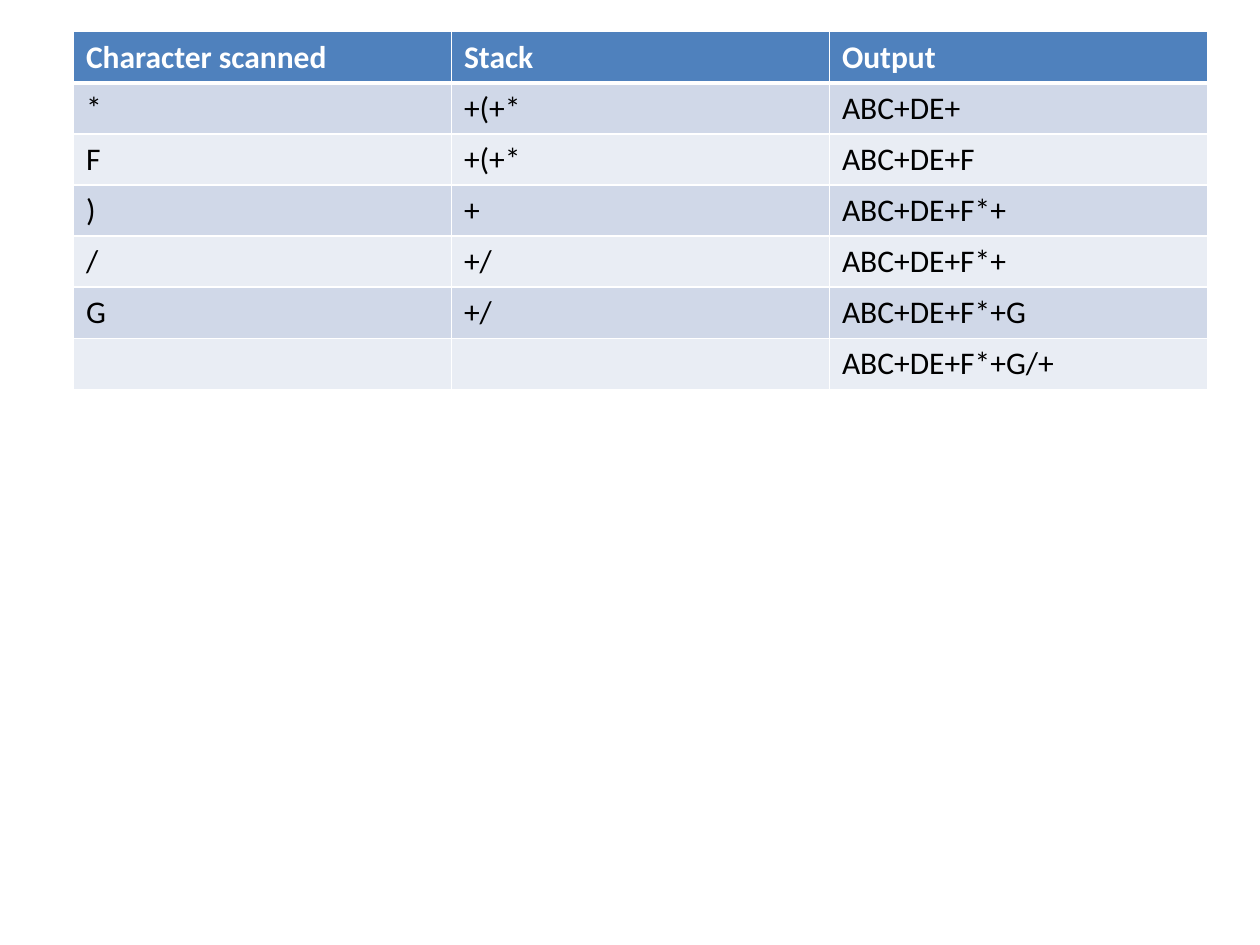
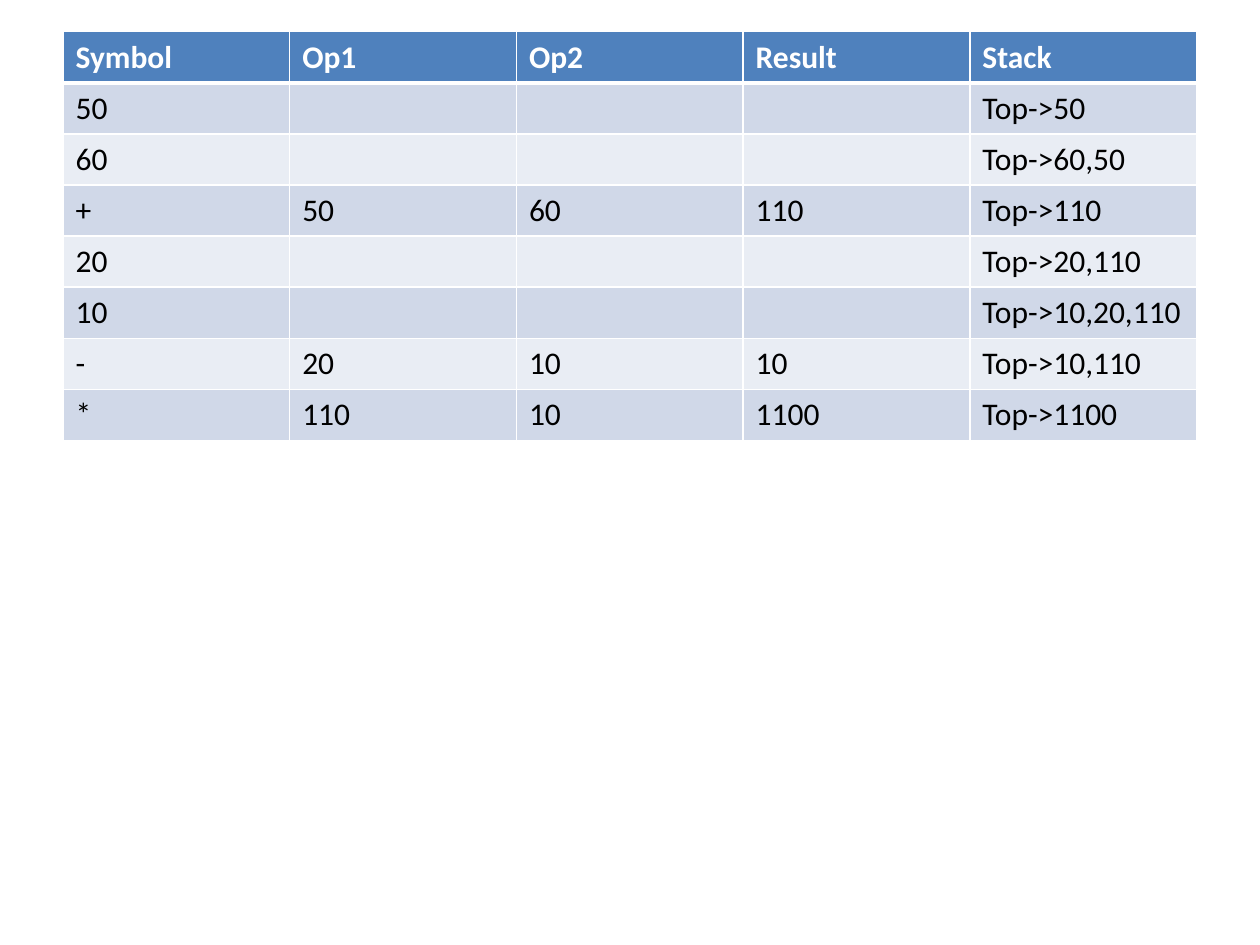
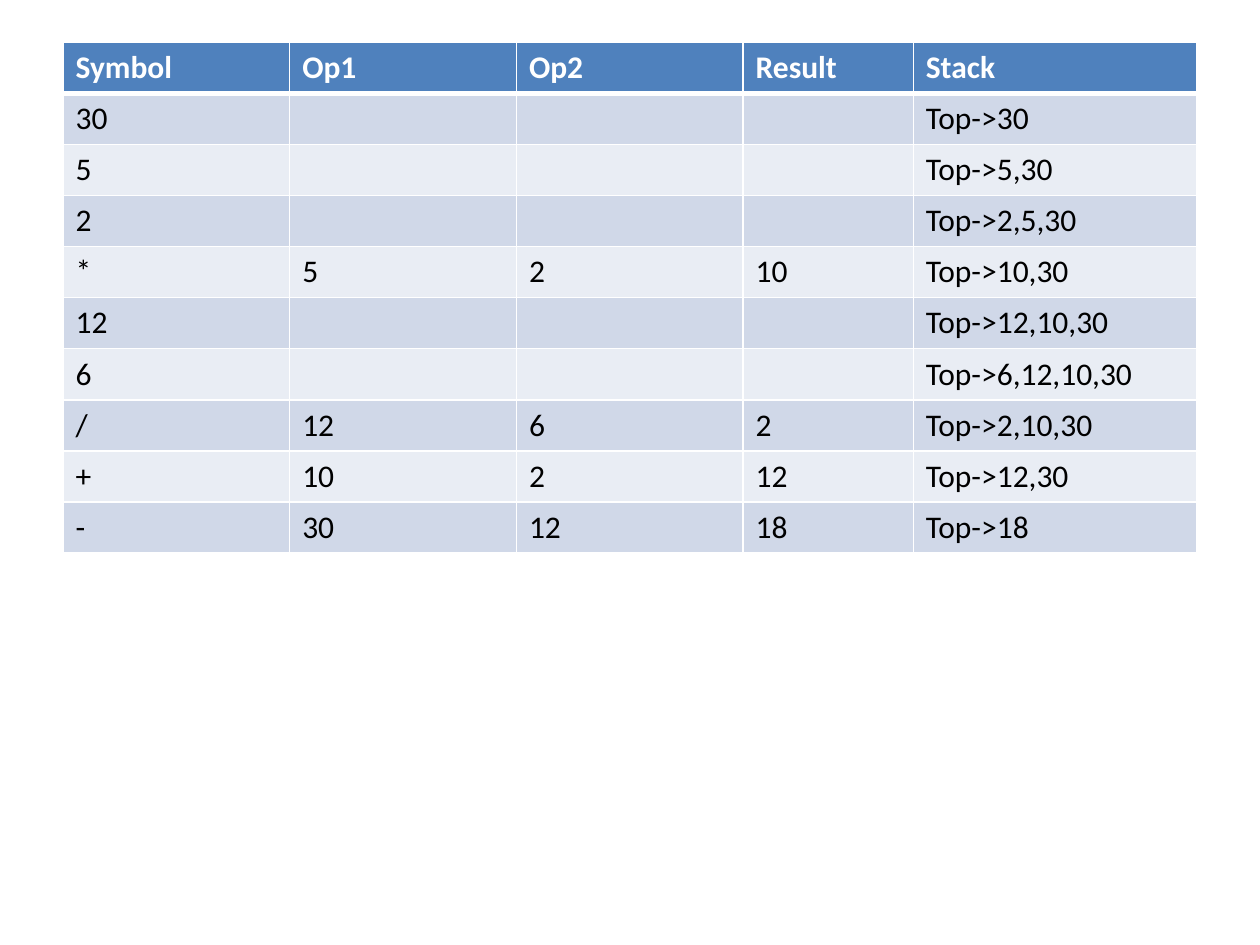
from pptx import Presentation
from pptx.dml.color import RGBColor
from pptx.oxml import parse_xml
from pptx.oxml.ns import nsdecls
from pptx.util import Cm, Pt

# Shared look
FONT, SIZE = "Calibri", 18
HEAD, BANDS = "4F81BD", ("E9EDF4", "D0D8E8")
WHITE, BLACK = "FFFFFF", "000000"
ROW = 1.03
EVEN = [4.57] * 5
STEPS = ["Symbol", "Op1", "Op2", "Result", "Stack"]


def color(code):
    return RGBColor.from_string(code)


def edge(cell, side, width):
    cell._tc.get_or_add_tcPr().append(parse_xml(
        f'<a:ln{side} {nsdecls("a")} w="{Pt(width)}"><a:solidFill>'
        f'<a:srgbClr val="{WHITE}"/></a:solidFill></a:ln{side}>'))


# Tables: left, top, column widths, rows
tables = [
    # Infix to postfix
    (1.48, 0.64, [7.62] * 3, [
        ["Character scanned", "Stack", "Output"],
        ["*", "+(+*", "ABC+DE+"],
        ["F", "+(+*", "ABC+DE+F"],
        [")", "+", "ABC+DE+F*+"],
        ["/", "+/", "ABC+DE+F*+"],
        ["G", "+/", "ABC+DE+F*+G"],
        ["", "", "ABC+DE+F*+G/+"],
    ]),
    # First postfix evaluation
    (1.27, 0.64, EVEN, [
        STEPS,
        ["50", "", "", "", "Top->50"],
        ["60", "", "", "", "Top->60,50"],
        ["+", "50", "60", "110", "Top->110"],
        ["20", "", "", "", "Top->20,110"],
        ["10", "", "", "", "Top->10,20,110"],
        ["-", "20", "10", "10", "Top->10,110"],
        ["*", "110", "10", "1100", "Top->1100"],
    ]),
    # Second postfix evaluation
    (1.27, 0.85, EVEN[:3] + [3.43, 5.72], [
        STEPS,
        ["30", "", "", "", "Top->30"],
        ["5", "", "", "", "Top->5,30"],
        ["2", "", "", "", "Top->2,5,30"],
        ["*", "5", "2", "10", "Top->10,30"],
        ["12", "", "", "", "Top->12,10,30"],
        ["6", "", "", "", "Top->6,12,10,30"],
        ["/", "12", "6", "2", "Top->2,10,30"],
        ["+", "10", "2", "12", "Top->12,30"],
        ["-", "30", "12", "18", "Top->18"],
    ]),
]

deck = Presentation()
deck.slide_width, deck.slide_height = Cm(25.4), Cm(19.05)

# One table per slide
for left, top, widths, rows in tables:
    slide = deck.slides.add_slide(deck.slide_layouts[6])
    grid = slide.shapes.add_table(
        len(rows), len(widths), Cm(left), Cm(top),
        Cm(sum(widths)), Cm(ROW * len(rows))).table
    for col, width in zip(grid.columns, widths):
        col.width = Cm(width)

    for r, row in enumerate(rows):
        for c, text in enumerate(row):
            cell = grid.cell(r, c)
            # Borders, with a thick rule under the header
            edge(cell, "L", 1)
            edge(cell, "R", 1)
            edge(cell, "T", 3 if r == 1 else 1)
            edge(cell, "B", 3 if r == 0 else 1)
            # Fill and text
            cell.fill.solid()
            cell.fill.fore_color.rgb = color(BANDS[r % 2] if r else HEAD)
            cell.text = text
            font = cell.text_frame.paragraphs[0].font
            font.name, font.size, font.bold = FONT, Pt(SIZE), r == 0
            font.color.rgb = color(BLACK if r else WHITE)

deck.save("out.pptx")
